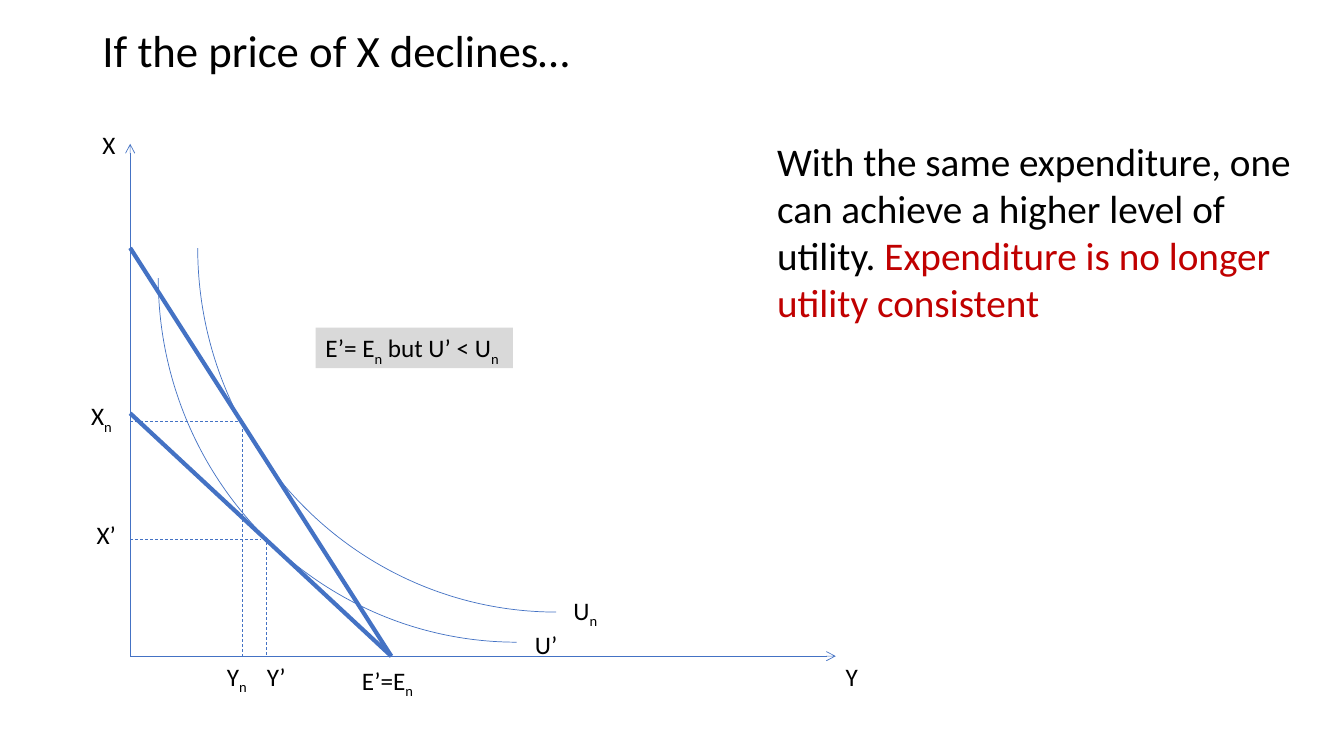
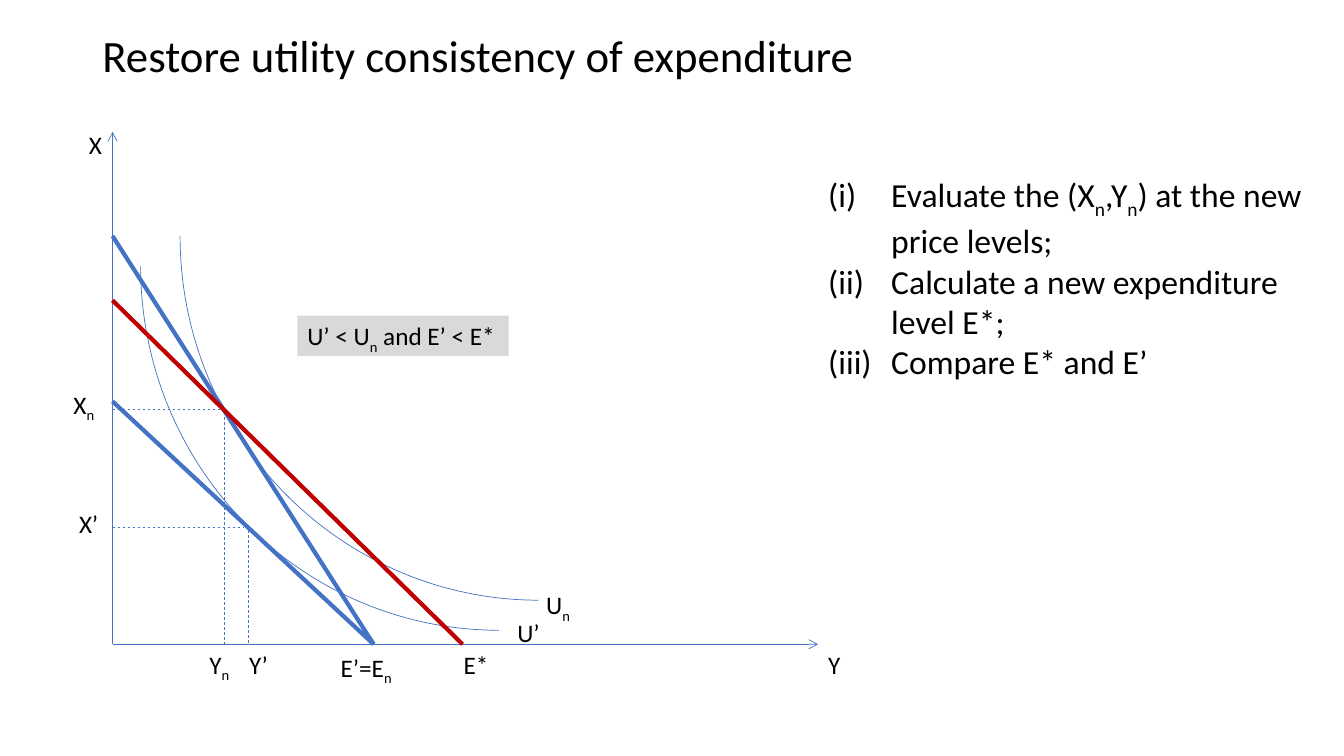
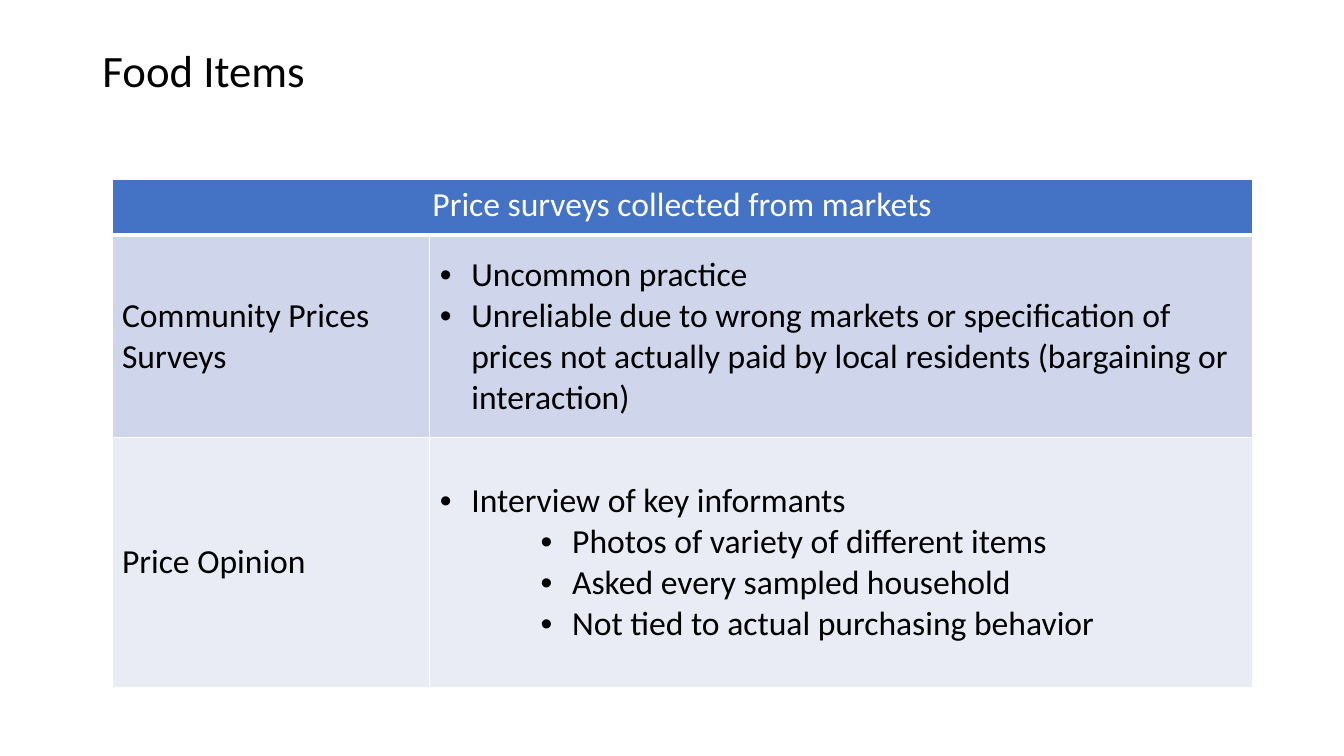
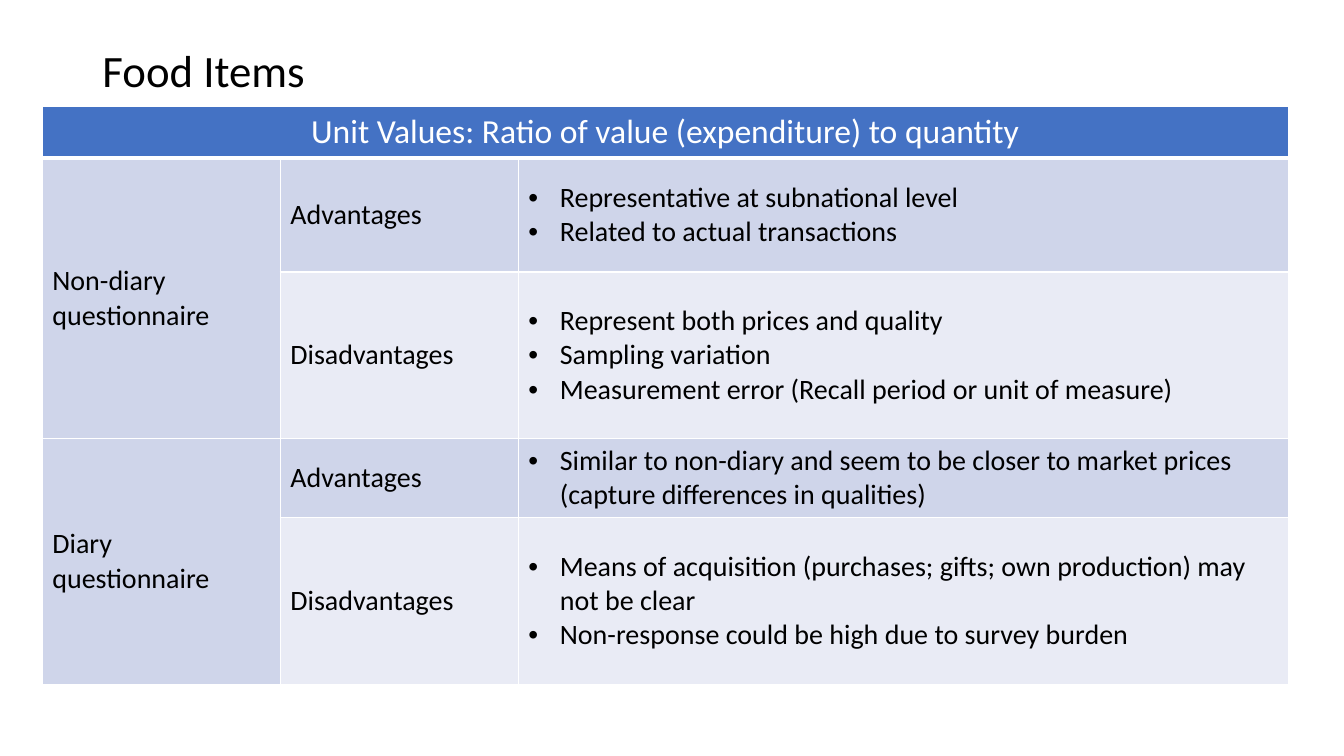
from dataclasses import dataclass
from typing import Any, NamedTuple, Optional

from lxml import etree
from pptx import Presentation
from pptx import util as u
from pptx.dml.color import RGBColor
from pptx.enum import dml, shapes, text
from pptx.oxml import ns

Pt = u.Pt
FONT = "Calibri"
COLORS = {
    "black": "000000",
    "white": "FFFFFF",
    "blue": "4472C4",
    "red": "C00000",
    "gray": "D9D9D9",
    "band": "CFD5EA",
    "pale": "E9EBF5",
}
LABEL_HEIGHT = 29
BULLET_INDENT = 22.5
NUMBER_INDENT = 45


class Line(NamedTuple):
    x1: float
    y1: float
    x2: float
    y2: float
    color: str = "blue"
    width: float = 0.5
    dashed: bool = False
    arrow: bool = False


class Label(NamedTuple):
    text: str
    x: float
    y: float
    width: float
    fill: Optional[str] = None


class Item(NamedTuple):
    text: str
    level: int = 0


class Span(NamedTuple):
    text: str
    color: str = "black"


@dataclass
class Cell:
    row: int
    column: int
    items: list[Item]
    fill: str = "band"
    size: float = 24
    color: str = "black"
    rows: int = 1
    columns: int = 1
    header: bool = False


@dataclass
class Diagram:
    title: str
    title_height: float
    origin: tuple[float, float]
    labels: list[Label]
    lines: list[Line]


@dataclass
class Grid:
    title: str
    left: float
    top: float
    widths: list[float]
    heights: list[float]
    cells: list[Cell]


AXES = [Line(0, 0, 504, 0, arrow=True), Line(0, 0, 0, -366, arrow=True)]
BUDGETS = [Line(0, -173.5, 186.5, 0, width=3), Line(0, -291.6, 186.5, 0, width=3)]
GUIDES = [
    Line(0, -83.5, 93.5, -83.5, dashed=True),
    Line(97, -81.5, 97, 0, dashed=True),
    Line(80, -162, 80, 0, dashed=True),
    Line(0, -168, 80, -168, dashed=True),
]
CURVES = [(20, -530), (48.2, -551.5)]
CURVE_SIZE = (512, 520)
SHARED_LABELS = [
    Label("Y", 504, 0, 23),
    Label("U’", 282, -23, 32),
    Label("X’", -31, -101, 28),
    Label("Y’", 90.5, 0, 28),
    Label("X_n", -35, -186, 30),
    Label("Y_n", 62, 0, 29),
]


def rgb(name: str) -> RGBColor:
    return RGBColor.from_string(COLORS[name])


def style_para(para: Any, size: float, color: Optional[str] = "black") -> None:
    para.font.name = FONT
    para.font.size = Pt(size)
    para.font.bold = False
    if color:
        para.font.color.rgb = rgb(color)


def add_runs(para: Any, content: str) -> None:
    first, *rest = content.split("_")
    pieces = [(first, False)]
    for part in rest:
        pieces += [(part[0], True), (part[1:], False)]
    for piece, lowered in pieces:
        if piece:
            span = para.add_run()
            span.text = piece
            if lowered:
                span.font._element.set("baseline", "-25000")


def add_marker(para: Any, tag: str, margin: float, hang: float, **settings: str) -> None:
    props = para._p.get_or_add_pPr()
    props.set("marL", str(Pt(margin)))
    props.set("indent", str(-Pt(hang)))
    marker = etree.SubElement(props, ns.qn(tag))
    for key, value in settings.items():
        marker.set(key, value)


def add_title(page: Any, content: str, top: float, height: float) -> None:
    title = page.shapes.title
    title.left, title.top, title.width, title.height = Pt(66), Pt(top), Pt(828), Pt(height)
    frame = title.text_frame
    frame.text = content
    frame.auto_size = text.MSO_AUTO_SIZE.NONE
    frame.vertical_anchor = text.MSO_ANCHOR.MIDDLE
    para = frame.paragraphs[0]
    para.alignment = text.PP_ALIGN.LEFT
    para.line_spacing = 0.9
    style_para(para, 32)


def add_line(page: Any, line: Line, origin: tuple[float, float]) -> None:
    x, y = origin
    connector = page.shapes.add_connector(
        shapes.MSO_CONNECTOR.STRAIGHT,
        Pt(x + line.x1), Pt(y + line.y1), Pt(x + line.x2), Pt(y + line.y2),
    )
    connector.line.color.rgb = rgb(line.color)
    connector.line.width = Pt(line.width)
    if line.dashed:
        connector.line.dash_style = dml.MSO_LINE.DASH
    if line.arrow:
        etree.SubElement(connector.line._get_or_add_ln(), ns.qn("a:tailEnd")).set("type", "arrow")
    etree.SubElement(connector._element.spPr, ns.qn("a:effectLst"))


def add_curve(page: Any, left: float, top: float) -> None:
    width, height = CURVE_SIZE
    curve = page.shapes.add_shape(
        shapes.MSO_SHAPE.ARC, Pt(left), Pt(top), Pt(width), Pt(height)
    )
    curve.rotation = 180
    curve.shadow.inherit = False
    curve.fill.background()
    curve.line.color.rgb = rgb("blue")
    curve.line.width = Pt(0.5)


def add_label(page: Any, label: Label, origin: tuple[float, float]) -> None:
    box = page.shapes.add_textbox(
        Pt(origin[0] + label.x), Pt(origin[1] + label.y), Pt(label.width), Pt(LABEL_HEIGHT)
    )
    if label.fill:
        box.fill.solid()
        box.fill.fore_color.rgb = rgb(label.fill)
    frame = box.text_frame
    frame.word_wrap = False
    frame.auto_size = text.MSO_AUTO_SIZE.SHAPE_TO_FIT_TEXT
    para = frame.paragraphs[0]
    style_para(para, 18)
    add_runs(para, label.text)


def add_body(page: Any, left: float, top: float, width: float, height: float) -> Any:
    box = page.shapes.add_textbox(Pt(left), Pt(top), Pt(width), Pt(height))
    box.text_frame.word_wrap = True
    box.text_frame.auto_size = text.MSO_AUTO_SIZE.SHAPE_TO_FIT_TEXT
    return box.text_frame


def add_statement(page: Any, spans: list[Span]) -> None:
    para = add_body(page, 548, 94.5, 392.5, 143).paragraphs[0]
    style_para(para, 28, None)
    for part in spans:
        span = para.add_run()
        span.text = part.text
        span.font.color.rgb = rgb(part.color)


def add_steps(page: Any, steps: list[str]) -> None:
    frame = add_body(page, 584.5, 121, 353, 153)
    for index, step in enumerate(steps):
        para = frame.add_paragraph() if index else frame.paragraphs[0]
        add_marker(para, "a:buAutoNum", NUMBER_INDENT, NUMBER_INDENT, type="romanLcParenBoth")
        style_para(para, 24)
        add_runs(para, step)


def add_page(deck: Any, title: str, top: float, height: float) -> Any:
    page = deck.slides.add_slide(deck.slide_layouts[5])
    add_title(page, title, top, height)
    return page


def add_diagram(deck: Any, diagram: Diagram) -> Any:
    page = add_page(deck, diagram.title, 1.5, diagram.title_height)
    x, y = diagram.origin
    for left, top in CURVES:
        add_curve(page, x + left, y + top)
    for line in AXES + GUIDES + BUDGETS + diagram.lines:
        add_line(page, line, diagram.origin)
    for label in SHARED_LABELS + diagram.labels:
        add_label(page, label, diagram.origin)
    return page


def set_borders(cell: Any, header: bool) -> None:
    props = cell._tc.get_or_add_tcPr()
    for index, side in enumerate("LRTB"):
        border = etree.Element(ns.qn(f"a:ln{side}"))
        border.set("w", str(Pt(3 if header and side == "B" else 1)))
        fill = etree.SubElement(border, ns.qn("a:solidFill"))
        etree.SubElement(fill, ns.qn("a:srgbClr")).set("val", COLORS["white"])
        props.insert(index, border)


def fill_cell(table: Any, data: Cell) -> None:
    last_row, last_column = data.row + data.rows, data.column + data.columns
    cell = table.cell(data.row, data.column)
    if data.rows * data.columns > 1:
        cell.merge(table.cell(last_row - 1, last_column - 1))
    for row in range(data.row, last_row):
        for column in range(data.column, last_column):
            part = table.cell(row, column)
            part.fill.solid()
            part.fill.fore_color.rgb = rgb(data.fill)
            set_borders(part, data.header)
    cell.vertical_anchor = text.MSO_ANCHOR.TOP if data.header else text.MSO_ANCHOR.MIDDLE
    frame = cell.text_frame
    for index, item in enumerate(data.items):
        para = frame.add_paragraph() if index else frame.paragraphs[0]
        if data.header:
            para.alignment = text.PP_ALIGN.CENTER
        if item.level:
            para.level = item.level - 1
            margin = BULLET_INDENT + 72 * (item.level - 1)
            add_marker(para, "a:buFont", margin, BULLET_INDENT, typeface="Arial")
            add_marker(para, "a:buChar", margin, BULLET_INDENT, char="•")
        style_para(para, data.size, data.color)
        para.add_run().text = item.text


def add_grid(deck: Any, grid: Grid) -> None:
    page = add_page(deck, grid.title, 0, 104.4)
    table = page.shapes.add_table(
        len(grid.heights), len(grid.widths),
        Pt(grid.left), Pt(grid.top), Pt(sum(grid.widths)), Pt(sum(grid.heights)),
    ).table
    table.first_row = table.horz_banding = False
    for column, width in zip(table.columns, grid.widths):
        column.width = Pt(width)
    for row, height in zip(table.rows, grid.heights):
        row.height = Pt(height)
    for cell in grid.cells:
        fill_cell(table, cell)


def header(content: str, columns: int) -> Cell:
    return Cell(0, 0, [Item(content)], "blue", color="white", columns=columns, header=True)


def bullets(*lines: str, level: int = 1) -> list[Item]:
    return [Item(line, level) for line in lines]


def unit_value_cells() -> list[Cell]:
    groups = {
        "Non-diary questionnaire": [
            bullets("Representative at subnational level", "Related to actual transactions"),
            bullets(
                "Represent both prices and quality",
                "Sampling variation",
                "Measurement error (Recall period or unit of measure)",
            ),
        ],
        "Diary questionnaire": [
            bullets(
                "Similar to non-diary and seem to be closer to market prices "
                "(capture differences in qualities)"
            ),
            bullets(
                "Means of acquisition (purchases; gifts; own production) may not be clear",
                "Non-response could be high due to survey burden",
            ),
        ],
    }
    sides = [("Advantages", "band"), ("Disadvantages", "pale")]
    cells = [header("Unit Values: Ratio of value (expenditure) to quantity", 3)]
    for group, (name, contents) in enumerate(groups.items()):
        top = 1 + 2 * group
        cells.append(Cell(top, 0, [Item(name)], size=20, rows=2))
        for offset, ((side, fill), items) in enumerate(zip(sides, contents)):
            cells.append(Cell(top + offset, 1, [Item(side)], fill, 20))
            cells.append(Cell(top + offset, 2, items, fill, 20))
    return cells


def main() -> None:
    deck = Presentation()
    deck.slide_width, deck.slide_height = Pt(960), Pt(540)

    decline = Diagram(
        "If the price of X declines…", 72.5, (93, 468.7),
        [
            Label("X", -27, -380, 24),
            Label("E’=E_n", 158.5, 3, 52),
            Label("U_n", 309.5, -47, 32),
            Label("E’= E_n but U’ < U_n", 132.4, -234.7, 141, "gray"),
        ],
        [],
    )
    page = add_diagram(deck, decline)
    add_statement(page, [
        Span("With the same expenditure, one can achieve a higher level of utility. "),
        Span("Expenditure is no longer utility consistent", "red"),
    ])

    restore = Diagram(
        "Restore utility consistency of expenditure", 80.5, (80.4, 460.2),
        [
            Label("X", -24, -371.5, 24),
            Label("E’=E_n", 155.8, 2, 52),
            Label("U_n", 302.6, -42.5, 32),
            Label("U’ < U_n and E’ < E*", 132, -234.8, 151, "gray"),
            Label("E*", 243.6, 0, 32),
        ],
        [Line(0, -245.6, 250, 0, "red", 3)],
    )
    page = add_diagram(deck, restore)
    add_steps(page, [
        "Evaluate the (X_n,Y_n) at the new price levels;",
        "Calculate a new expenditure level E*;",
        "Compare E* and E’",
    ])

    surveys = [
        header("Price surveys collected from markets", 2),
        Cell(1, 0, [Item("Community Prices Surveys")]),
        Cell(1, 1, bullets(
            "Uncommon practice",
            "Unreliable due to wrong markets or specification of prices not actually "
            "paid by local residents (bargaining or interaction)",
        )),
        Cell(2, 0, [Item("Price Opinion")], "pale"),
        Cell(2, 1, bullets("Interview of key informants") + bullets(
            "Photos of variety of different items",
            "Asked every sampled household",
            "Not tied to actual purchasing behavior",
            level=2,
        ), "pale"),
    ]
    add_grid(deck, Grid("Food Items", 80, 128, [227, 587.5], [40, 144.5, 178.5], surveys))
    add_grid(deck, Grid(
        "Food Items", 30.2, 76.3, [170, 170, 550], [36, 81.5, 119, 56.5, 119], unit_value_cells()
    ))
    deck.save("out.pptx")


if __name__ == "__main__":
    main()
